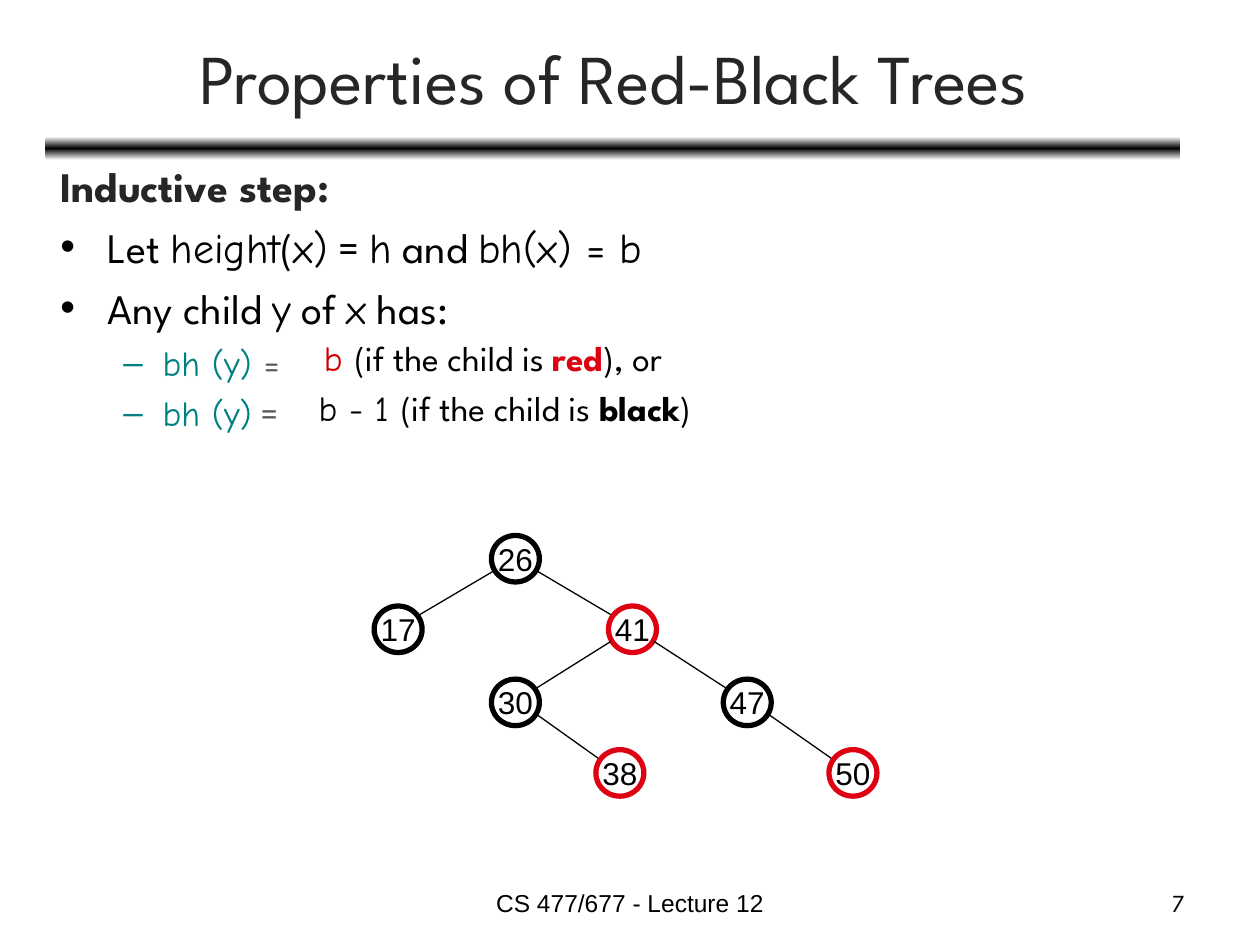
from copy import deepcopy
from dataclasses import dataclass

from pptx import Presentation
from pptx.dml.color import RGBColor as Rgb
from pptx.enum.shapes import MSO_CONNECTOR as Connector, MSO_SHAPE as Shape
from pptx.enum.text import MSO_ANCHOR as Anchor, MSO_AUTO_SIZE as AutoSize, PP_ALIGN as Align
from pptx.oxml.ns import qn
from pptx.oxml.xmlchemy import OxmlElement
from pptx.util import Pt


@dataclass(frozen=True)
class Theme:
    heading: str = "262626"
    black: str = "000000"
    white: str = "FFFFFF"
    red: str = "DD0111"
    dark_red: str = "CC0000"
    teal: str = "008080"
    grey: str = "595959"
    sans: str = "League Spartan"
    comic: str = "Comic Neue"
    plain: str = "Arial"
    title_size: float = 40
    body_size: float = 24
    detail_size: float = 20
    node_size: float = 18
    footer_size: float = 14


THEME = Theme()


@dataclass(frozen=True)
class Span:
    text: str
    font: str = THEME.sans
    color: str = THEME.black
    bold: bool = False


@dataclass(frozen=True)
class Para:
    spans: tuple[Span, ...]
    size: float
    align: Align = Align.LEFT
    bullet: str = ""
    margin: float = 0
    hanging: float = 0
    before: float = 0
    level: int = 0


@dataclass(frozen=True)
class Node:
    x: float
    y: float
    color: str = THEME.black


NODE_WIDTH, NODE_HEIGHT = 27.4, 26.6
EDGE_X, EDGE_START_Y, EDGE_END_Y = 12.4, 7, 8.4
NODES = {
    "26": Node(294.5, 319.3),
    "17": Node(227.5, 359.6),
    "41": Node(361.4, 359.6, THEME.red),
    "30": Node(294.5, 401.4),
    "47": Node(427, 401.4),
    "38": Node(354.2, 441.7, THEME.red),
    "50": Node(487.4, 441.7, THEME.red),
}
EDGES = [("26", "17"), ("26", "41"), ("41", "30"), ("41", "47"), ("30", "38"), ("47", "50")]


def comic(text: str, color: str = THEME.black) -> Span:
    return Span(text, THEME.comic, color)


def point(*spans: Span) -> Para:
    return Para(spans, THEME.body_size, bullet="•", margin=27, hanging=27, before=6)


def detail(*spans: Span) -> Para:
    return Para(spans, THEME.detail_size, bullet="–", margin=58.5, hanging=22.5,
                before=5, level=1)


def write_para(paragraph, para: Para) -> None:
    paragraph.alignment = para.align
    paragraph.level = para.level
    if para.before:
        paragraph.space_before = Pt(para.before)
    if para.margin:
        properties = paragraph._p.get_or_add_pPr()
        properties.set("marL", str(Pt(para.margin)))
        properties.set("indent", str(-Pt(para.hanging)))
        if para.bullet:
            font = OxmlElement("a:buFont")
            font.set("typeface", THEME.plain)
            mark = OxmlElement("a:buChar")
            mark.set("char", para.bullet)
            properties.extend([font, mark])
    for span in para.spans:
        run = paragraph.add_run()
        run.text = span.text
        run.font.name = span.font
        run.font.size = Pt(para.size)
        run.font.bold = span.bold
        run.font.color.rgb = Rgb.from_string(span.color)


def add_text(page, left: float, top: float, width: float, height: float,
             *paras: Para, anchor: Anchor = Anchor.TOP, wrap: bool = True) -> None:
    box = page.shapes.add_textbox(Pt(left), Pt(top), Pt(width), Pt(height))
    frame = box.text_frame
    frame.word_wrap = wrap
    frame.auto_size = AutoSize.NONE if wrap else AutoSize.SHAPE_TO_FIT_TEXT
    frame.vertical_anchor = anchor
    for index, para in enumerate(paras):
        write_para(frame.add_paragraph() if index else frame.paragraphs[0], para)


def add_title_bar(page) -> None:
    """Draw the rule under the title, fading from black to white on both sides."""
    bar = page.shapes.add_shape(Shape.ROUNDED_RECTANGLE, Pt(26), Pt(78), Pt(648.7), Pt(13.5))
    bar.shadow.inherit = False
    bar.line.fill.background()
    bar.fill.gradient()
    bar.fill.gradient_angle = 270
    stop_list = bar._element.spPr.find(qn("a:gradFill")).find(qn("a:gsLst"))
    stop_list.insert(1, deepcopy(stop_list[0]))
    colors = (THEME.white, THEME.black, THEME.white)
    for stop, position, color in zip(bar.fill.gradient_stops, (0, 0.5, 1), colors):
        stop.position = position
        stop.color.rgb = Rgb.from_string(color)


def add_node(page, label: str, node: Node) -> None:
    circle = page.shapes.add_shape(Shape.OVAL, Pt(node.x - NODE_WIDTH / 2),
                                   Pt(node.y - NODE_HEIGHT / 2), Pt(NODE_WIDTH), Pt(NODE_HEIGHT))
    circle.shadow.inherit = False
    circle.fill.background()
    circle.line.color.rgb = Rgb.from_string(node.color)
    circle.line.width = Pt(3)
    frame = circle.text_frame
    frame.word_wrap = False
    frame.vertical_anchor = Anchor.MIDDLE
    write_para(frame.paragraphs[0], Para((Span(label, THEME.plain),), THEME.node_size, Align.CENTER))


def add_edge(page, parent: Node, child: Node) -> None:
    shift = EDGE_X if child.x > parent.x else -EDGE_X
    line = page.shapes.add_connector(
        Connector.STRAIGHT, Pt(parent.x + shift), Pt(parent.y + EDGE_START_Y),
        Pt(child.x - shift), Pt(child.y - EDGE_END_Y))
    line.line.color.rgb = Rgb.from_string(THEME.black)
    line.line.width = Pt(0.75)
    line._element.spPr.append(OxmlElement("a:effectLst"))


def main() -> None:
    deck = Presentation()
    deck.slide_width, deck.slide_height = Pt(720), Pt(540)
    page = deck.slides.add_slide(deck.slide_layouts[6])

    add_title_bar(page)
    add_text(page, 246, 504, 228, 25, Para(
        (Span("CS 477/677 - Lecture 12", THEME.plain),), THEME.footer_size, Align.CENTER))
    add_text(page, 26.6, 8, 648, 71, Para(
        (Span("Properties of Red-Black Trees", color=THEME.heading),),
        THEME.title_size, Align.CENTER), anchor=Anchor.MIDDLE)
    add_text(
        page, 27.4, 88, 656, 458,
        Para((Span("Inductive step:", color=THEME.heading, bold=True),), THEME.body_size,
             margin=27, hanging=27),
        point(Span("Let "), comic("height"), Span("("), comic("x)"), Span(" = "), comic("h"),
              Span(" and "), comic("bh(x) = b")),
        point(Span("Any child "), comic("y"), Span(" of "), comic("x"), Span(" has:")),
        detail(comic("bh (y)", THEME.teal), comic(" =", THEME.grey)),
        detail(comic("bh (y)", THEME.teal), Span(" =", color=THEME.grey)))

    for label, node in NODES.items():
        add_node(page, label, node)
    for parent, child in EDGES:
        add_edge(page, NODES[parent], NODES[child])

    condition = Span("(if the child is ")
    add_text(page, 178, 188.6, 234.7, 31.7, Para(
        (comic("b ", THEME.dark_red), condition, Span("red", color=THEME.red, bold=True),
         Span("), or")), THEME.detail_size), wrap=False)
    add_text(page, 175, 217.4, 255.6, 31.7, Para(
        (comic("b - 1 "), condition, Span("black", bold=True), Span(")")),
        THEME.detail_size), wrap=False)
    add_text(page, 516, 504, 168, 25, Para((Span("7"),), THEME.footer_size, Align.RIGHT))
    deck.save("out.pptx")


if __name__ == "__main__":
    main()
